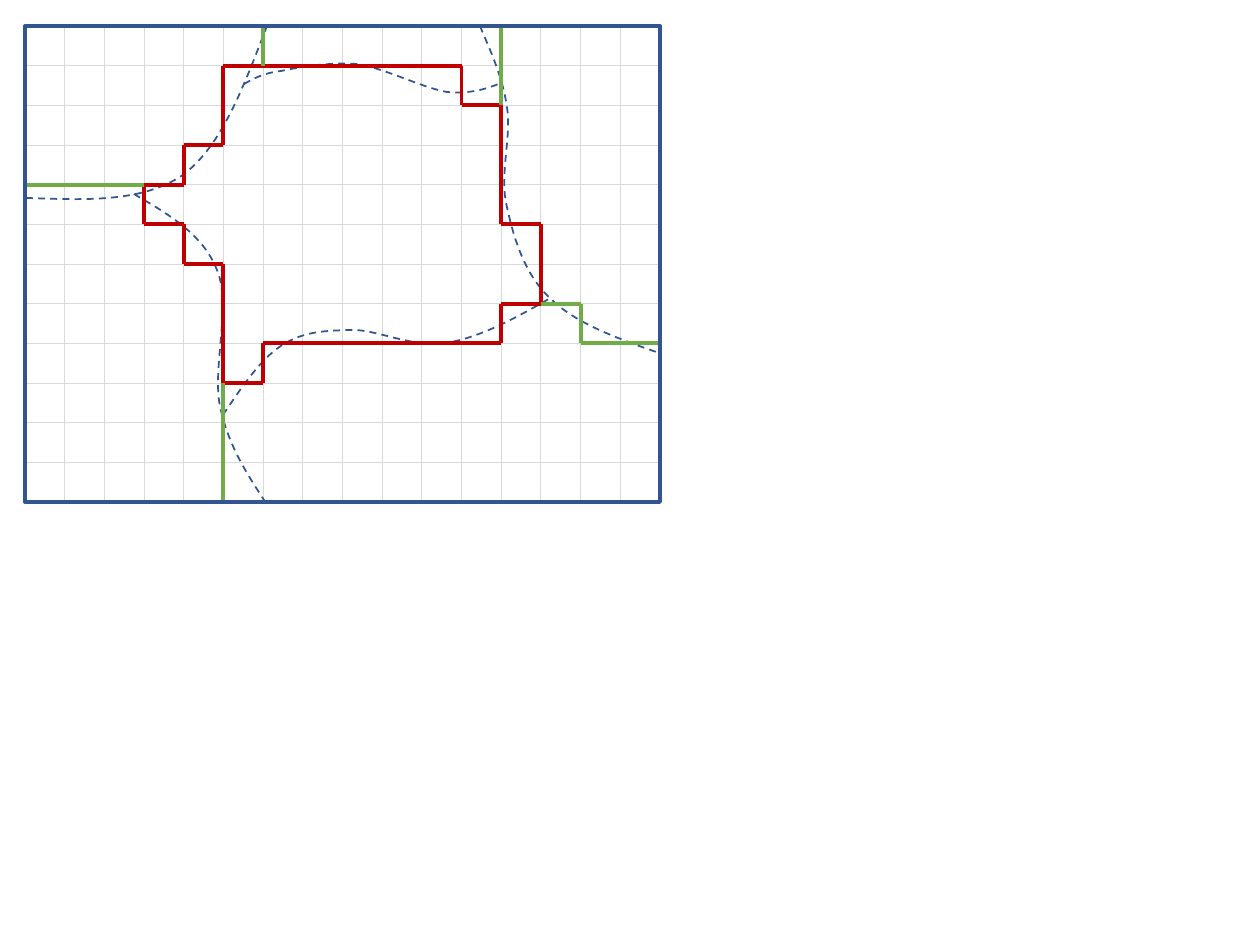
from dataclasses import dataclass
from itertools import pairwise

from pptx import Presentation, util as u
from pptx.dml import color
from pptx.enum import dml, shapes
from pptx.oxml import ns, xmlchemy as xml

PX = 914400 / 126
LEFT, TOP, WIDE, HIGH = 25, 26, 635, 476
COLS, ROWS = 16, 12


@dataclass(frozen=True)
class Theme:
    """Colours and line widths in points."""
    grid: str = "D9D9D9"
    blue: str = "325491"
    red: str = "C00000"
    green: str = "70AD47"
    hair: float = 0.5
    thin: float = 1
    bold: float = 2.25


THEME = Theme()

# Corners as (column, row) of the grid
BORDER = [(3, 4), (4, 4), (4, 3), (5, 3), (5, 1), (11, 1), (11, 2),
          (12, 2), (12, 5), (13, 5), (13, 7), (12, 7), (12, 8), (6, 8),
          (6, 9), (5, 9), (5, 6), (4, 6), (4, 5), (3, 5), (3, 4)]
SPURS = [
    [(3, 4), (0, 4)],
    [(5, 9), (5, 12)],
    [(6, 0), (6, 1)],
    [(12, 0), (12, 2)],
    [(13, 7), (14, 7), (14, 8), (16, 8)],
]
# A start point, then two handles and an end point for each bend
CURVES = [
    [(26, 198), (84, 200), (142, 203), (183, 175),
     (222, 146), (244, 86), (267, 26)],
    [(134, 194), (168, 214), (203, 234), (217, 270),
     (232, 305), (212, 367), (220, 406),
     (228, 445), (247, 474), (266, 503)],
    [(480, 26), (491, 52), (503, 78), (507, 107),
     (512, 137), (499, 175), (507, 207),
     (514, 239), (525, 276), (552, 300),
     (577, 324), (619, 339), (659, 353)],
    [(244, 84), (253, 79), (263, 73), (281, 71),
     (300, 67), (329, 62), (357, 64),
     (384, 68), (423, 88), (447, 92),
     (471, 94), (486, 89), (501, 83)],
    [(223, 415), (242, 387), (260, 360), (281, 346),
     (304, 331), (325, 331), (352, 330),
     (379, 330), (412, 348), (446, 343),
     (479, 338), (514, 319), (549, 299)],
]


def emu(px):
    """Turn pixels into EMU."""
    return u.Emu(round(px * PX))


def node(col, row):
    """Return the EMU position of a grid corner."""
    return emu(LEFT + col * WIDE / COLS), emu(TOP + row * HIGH / ROWS)


def stroke(item, tint, width):
    """Set the line colour and width of a shape."""
    item.line.color.rgb = color.RGBColor.from_string(tint)
    item.line.width = u.Pt(width)


def add_line(slide, start, end, tint, width):
    """Draw a straight line between two grid corners."""
    line = slide.shapes.add_connector(
        shapes.MSO_CONNECTOR.STRAIGHT, *node(*start), *node(*end))
    stroke(line, tint, width)
    line.element.spPr.append(xml.OxmlElement("a:effectLst"))


def add_chain(slide, stops, tint):
    """Draw bold lines through successive grid corners."""
    for start, end in pairwise(stops):
        add_line(slide, start, end, tint, THEME.bold)


def add_grid(slide):
    """Draw the inner grid lines."""
    ends = [((c, 0), (c, ROWS)) for c in range(1, COLS)]
    ends += [((0, r), (COLS, r)) for r in range(1, ROWS)]
    for start, end in ends:
        add_line(slide, start, end, THEME.grid, THEME.hair)


def add_curve(slide, points):
    """Draw a dashed curve of cubic bends."""
    pen = slide.shapes.build_freeform(*points[0], scale=PX)
    pen.add_line_segments(points[1:], close=False)
    curve = pen.convert_to_shape()
    legs = list(curve.element.iter(ns.qn("a:lnTo")))
    for i in range(0, len(legs), 3):
        bend = xml.OxmlElement("a:cubicBezTo")
        legs[i].addprevious(bend)
        for leg in legs[i:i + 3]:
            bend.append(leg[0])
            leg.getparent().remove(leg)
    curve.fill.background()
    curve.shadow.inherit = False
    stroke(curve, THEME.blue, THEME.thin)
    curve.line.dash_style = dml.MSO_LINE.DASH


def add_frame(slide):
    """Draw the outer frame."""
    frame = slide.shapes.add_shape(
        shapes.MSO_SHAPE.RECTANGLE, *map(emu, (LEFT, TOP, WIDE, HIGH)))
    frame.fill.background()
    frame.shadow.inherit = False
    stroke(frame, THEME.blue, THEME.bold)


def main():
    """Build and save the slide."""
    deck = Presentation()
    deck.slide_width, deck.slide_height = emu(1260), emu(945)
    slide = deck.slides.add_slide(deck.slide_layouts[6])
    add_grid(slide)
    for points in CURVES:
        add_curve(slide, points)
    add_chain(slide, BORDER, THEME.red)
    for spur in SPURS:
        add_chain(slide, spur, THEME.green)
    add_frame(slide)
    deck.save("out.pptx")


main()
